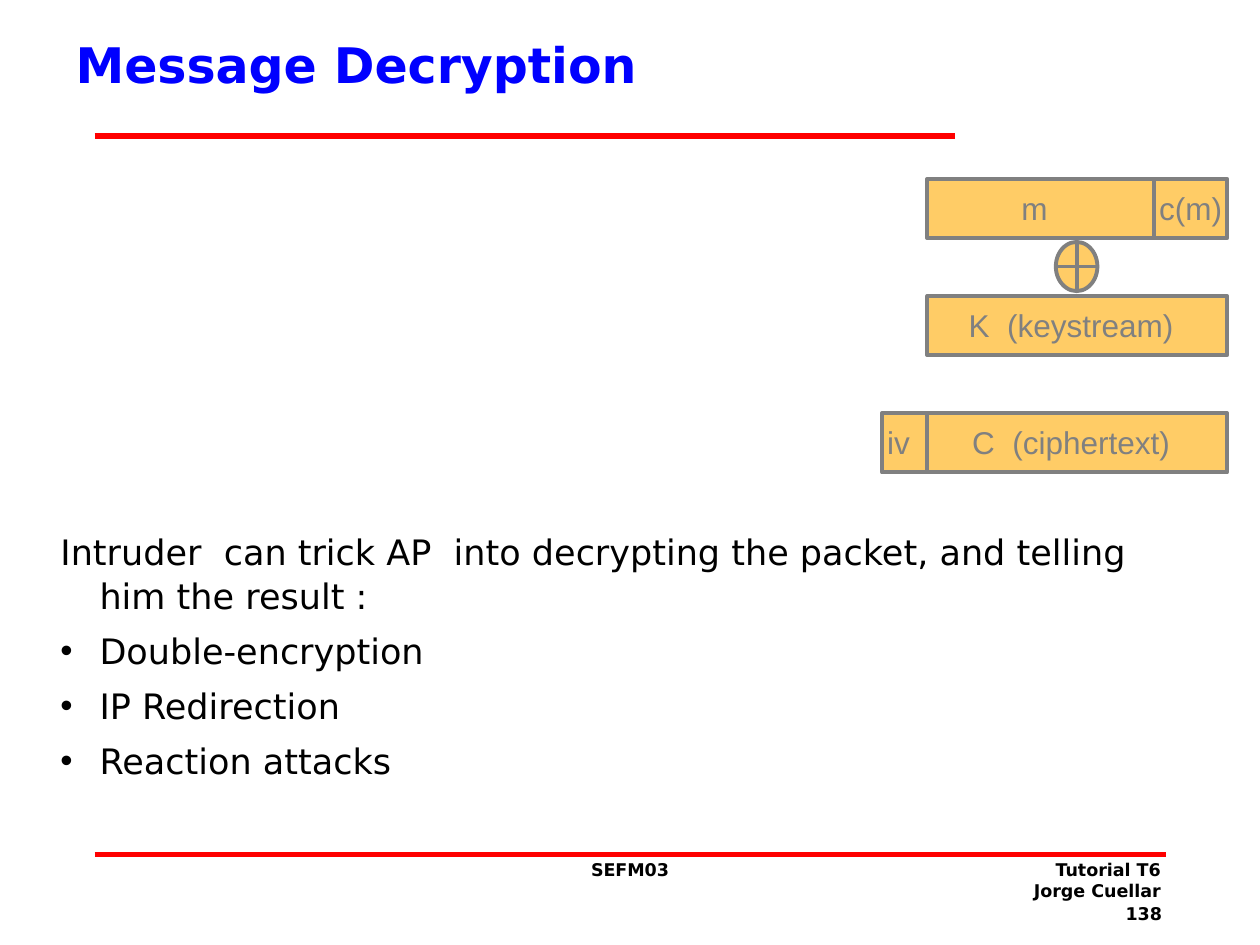
from lxml.etree import SubElement
from pptx import Presentation
from pptx.dml.color import RGBColor
from pptx.enum.shapes import MSO_CONNECTOR, MSO_SHAPE
from pptx.enum.text import MSO_ANCHOR, MSO_AUTO_SIZE, PP_ALIGN
from pptx.oxml.ns import qn
from pptx.util import Inches, Pt

COLORS = {"title": "0000FF", "rule": "FF0000", "text": "000000",
          "fill": "FFCC66", "outline": "808080"}
INSETS = (0.1, 0.05, 0.1, 0.05)

deck = Presentation()
deck.slide_width, deck.slide_height = Inches(10), Inches(7.5)
page = deck.slides.add_slide(deck.slide_layouts[1])


def write(box, lines, font, color, insets=INSETS, anchor=MSO_ANCHOR.TOP, wrap=True, **layout):
    frame = box.text_frame
    frame.text = "\n".join(lines)
    left, top, right, bottom = map(Inches, insets)
    frame_format = {"margin_left": left, "margin_top": top, "margin_right": right,
                    "margin_bottom": bottom, "vertical_anchor": anchor,
                    "word_wrap": wrap, "auto_size": MSO_AUTO_SIZE.NONE}
    for name, value in frame_format.items():
        setattr(frame, name, value)
    for para in frame.paragraphs:
        for name, value in layout.items():
            setattr(para, name, value)
        for span in para.runs:
            for name, value in font.items():
                setattr(span.font, name, value)
            span.font.color.rgb = RGBColor.from_string(COLORS[color])


def draw_line(start, end, color, width):
    line = page.shapes.add_connector(MSO_CONNECTOR.STRAIGHT, *map(Inches, start + end))
    line.line.color.rgb = RGBColor.from_string(COLORS[color])
    line.line.width = Pt(width)
    SubElement(line._element.spPr, qn("a:effectLst"))


for right, height in ((7.58, 1.08), (9.25, 6.78)):
    draw_line((0.75, height), (right, height), "rule", 3)

footer_font = {"name": "DejaVu Sans", "size": Pt(10), "bold": True}
footers = [
    ((8.52, 7.12, 0.8, 0.25), ["138"], PP_ALIGN.RIGHT),
    ((3.96, 6.77, 2.08, 0.5), ["SEFM03"], PP_ALIGN.CENTER),
    ((7.23, 6.77, 2.08, 0.5), ["Tutorial T6", "Jorge Cuellar"], PP_ALIGN.RIGHT),
]
for place, lines, alignment in footers:
    box = page.shapes.add_textbox(*map(Inches, place))
    write(box, lines, footer_font, "text", alignment=alignment)

title, body = page.placeholders
for box, place in ((title, (0.5, 0, 6.69, 1.01)), (body, (0.38, 4.14, 9.23, 2.28))):
    box.left, box.top, box.width, box.height = map(Inches, place)
write(title, ["Message Decryption"], {"name": "DejaVu Sans", "size": Pt(28), "bold": True},
      "title", anchor=MSO_ANCHOR.MIDDLE, alignment=PP_ALIGN.LEFT)
write(body, ["Intruder  can trick AP  into decrypting the packet, and telling him the result :",
             "Double-encryption", "IP Redirection", "Reaction attacks"],
      {"name": "DejaVu Sans", "size": Pt(20)}, "text",
      line_spacing=1.05, space_before=Pt(0), space_after=Pt(6.2))
for index, para in enumerate(body.text_frame.paragraphs):
    properties = para._p.get_or_add_pPr()
    properties.set("marL", str(Inches(0.31)))
    properties.set("indent", str(-Inches(0.31)))
    if index:
        SubElement(properties, qn("a:buChar"), char="•")
    else:
        SubElement(properties, qn("a:buNone"))

iv_left, left, checksum_left, right = 7, 7.36, 9.16, 9.74
first_row, row_step, row_height = 1.42, 0.93, 0.47
circle_left, circle_top, circle_width, circle_height = 8.38, 1.92, 0.33, 0.39
middle_x, middle_y = circle_left + circle_width / 2, circle_top + circle_height / 2
fields = [
    ("m", 0, left, checksum_left, 0.1),
    ("c(m)", 0, checksum_left, right, 0),
    ("K  (keystream)", 1, left, right, 0.1),
    ("iv", 2, iv_left, left, 0.1),
    ("C  (ciphertext)", 2, left, right, 0.1),
]
blocks = [(MSO_SHAPE.RECTANGLE, label, inset,
           (start, first_row + row * row_step, end - start, row_height))
          for label, row, start, end, inset in fields]
blocks.append((MSO_SHAPE.OVAL, "", 0, (circle_left, circle_top, circle_width, circle_height)))
for kind, label, inset, place in blocks:
    block = page.shapes.add_shape(kind, *map(Inches, place))
    block.shadow.inherit = False
    block.fill.solid()
    block.fill.fore_color.rgb = RGBColor.from_string(COLORS["fill"])
    block.line.color.rgb = RGBColor.from_string(COLORS["outline"])
    block.line.width = Pt(2.25)
    if label:
        write(block, [label], {"name": "Arial", "size": Pt(18)}, "outline",
              insets=(0, 0, inset, 0.05), anchor=MSO_ANCHOR.MIDDLE, wrap=False,
              alignment=PP_ALIGN.CENTER, line_spacing=Pt(24))

draw_line((middle_x, circle_top), (middle_x, circle_top + circle_height), "outline", 2.25)
draw_line((circle_left + circle_width, middle_y), (circle_left, middle_y), "outline", 2.25)

deck.save("out.pptx")
